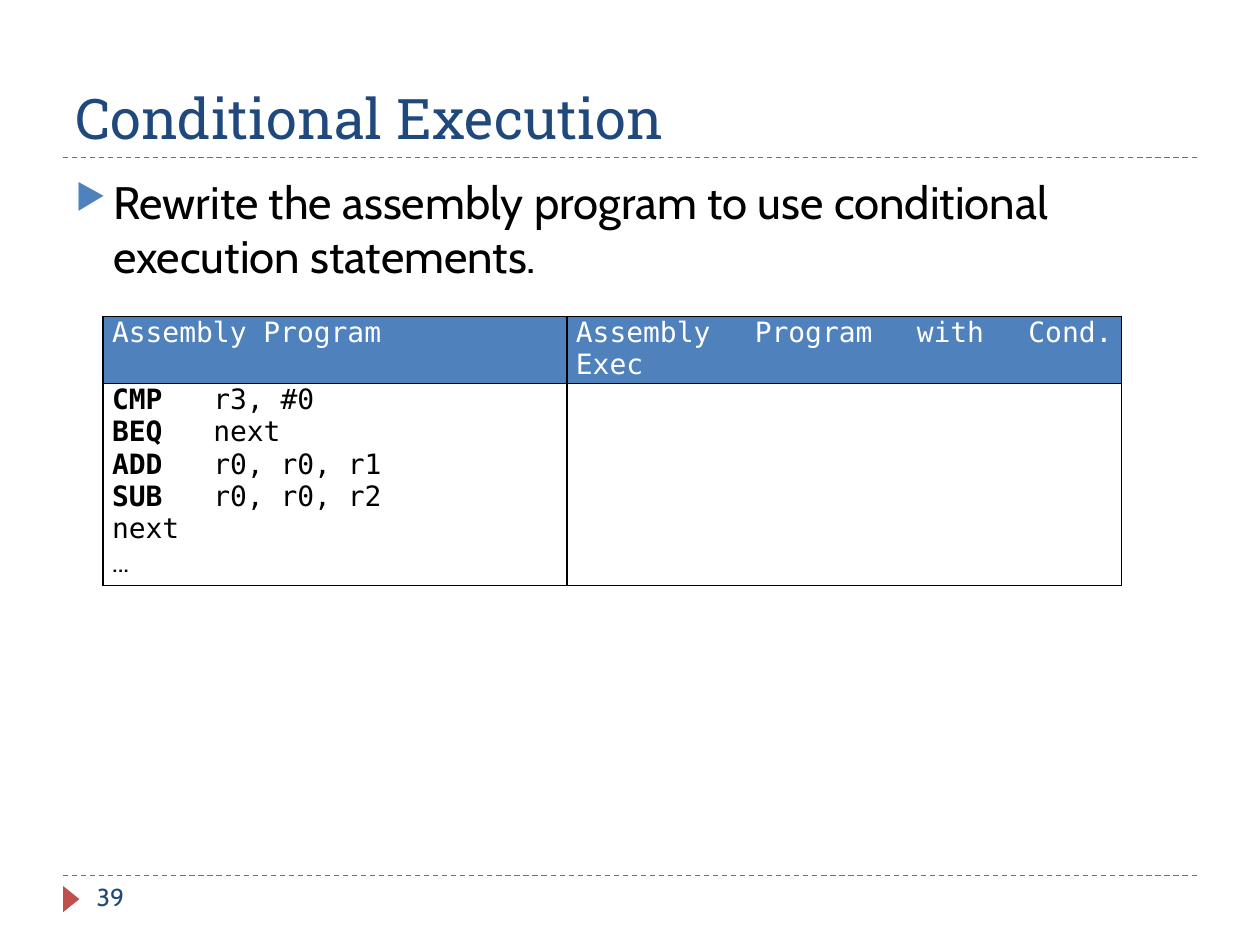
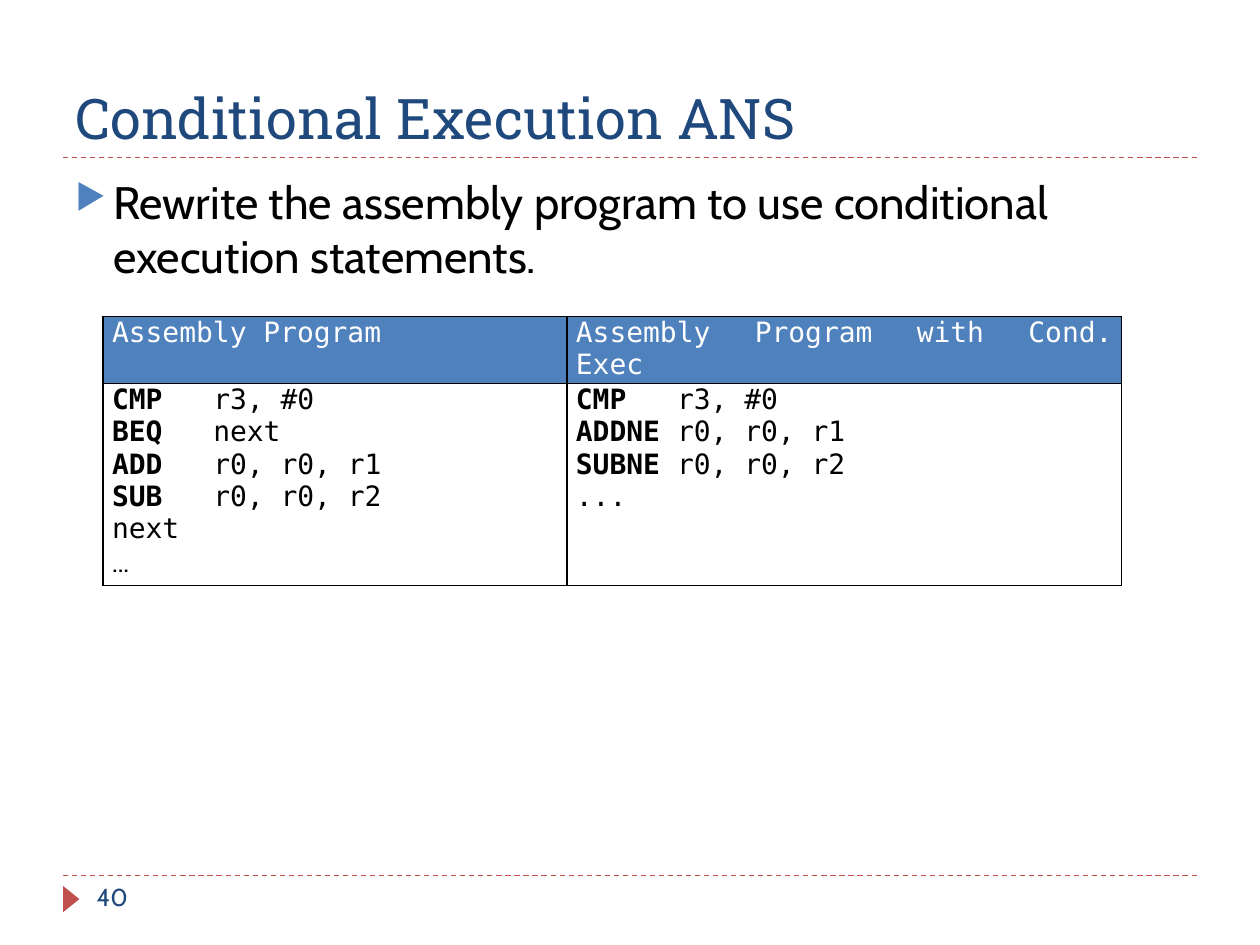
from dataclasses import dataclass

from lxml import etree
from pptx import Presentation
from pptx.dml.color import RGBColor
from pptx.enum.dml import MSO_LINE
from pptx.enum.shapes import MSO_CONNECTOR, MSO_SHAPE
from pptx.enum.text import MSO_ANCHOR, PP_ALIGN
from pptx.oxml.ns import qn
from pptx.util import Cm, Pt

DASH = MSO_LINE.DASH
STRAIGHT = MSO_CONNECTOR.STRAIGHT
TRIANGLE = MSO_SHAPE.ISOSCELES_TRIANGLE
TOP, BOTTOM = MSO_ANCHOR.TOP, MSO_ANCHOR.BOTTOM
LEFT, JUSTIFY = PP_ALIGN.LEFT, PP_ALIGN.JUSTIFY

COLORS = {
    "title": "1F497D",
    "accent": "4F81BD",
    "rule": "C0504D",
    "text": "000000",
    "white": "FFFFFF",
}
MONO = "DejaVu Sans Mono"
STYLES = {
    "title": {"name": "Roboto Slab", "size": Pt(32), "color": "title"},
    "body": {"name": "Cabin", "size": Pt(26), "color": "text"},
    "number": {"name": "Cabin", "size": Pt(14), "color": "title"},
    "header": {"name": MONO, "size": Pt(16), "color": "white", "bold": False},
    "code": {"name": MONO, "size": Pt(16), "color": "text", "bold": False},
    "opcode": {"name": MONO, "size": Pt(16), "color": "text", "bold": True},
    "ellipsis": {"name": "Cabin", "size": Pt(16), "color": "text", "bold": False},
}
MARGIN, CONTENT_WIDTH = 1.27, 22.86
RULE_TOPS = (17.65, 3.18)
OPERAND_TAB = Cm(2.04)
COL_WIDTHS = (9.35, 11.18)
ROW_HEIGHTS = (1.3, 3.95)
HEADERS = ("Assembly Program", "Assembly Program with Cond. Exec")
TASK = "Rewrite the assembly program to use conditional execution statements."


@dataclass(frozen=True)
class Box:
    """Position and size in centimetres."""
    left: float
    top: float
    width: float
    height: float

    def lengths(self) -> tuple:
        return Cm(self.left), Cm(self.top), Cm(self.width), Cm(self.height)


@dataclass(frozen=True)
class CodeLine:
    text: str
    opcode: str = ""
    style: str = "code"


@dataclass(frozen=True)
class ExerciseSlide:
    title: str
    number: int
    answer: tuple = ()


TITLE_BOX = Box(MARGIN, 0.43, CONTENT_WIDTH, 2.74)
BODY_BOX = Box(MARGIN, 3.38, CONTENT_WIDTH, 2.97)
NUMBER_BOX = Box(1.7, 17.65, 5.51, 1.02)
MARKER_BOX = Box(1.17, 17.96, 0.53, 0.33)
TABLE_BOX = Box(2.08, 6.38, sum(COL_WIDTHS), sum(ROW_HEIGHTS))

PROGRAM = (
    CodeLine("r3, #0", "CMP"),
    CodeLine("next", "BEQ"),
    CodeLine("r0, r0, r1", "ADD"),
    CodeLine("r0, r0, r2", "SUB"),
    CodeLine("next"),
    CodeLine("...", style="ellipsis"),
)
ANSWER = (
    CodeLine("r3, #0", "CMP"),
    CodeLine("r0, r0, r1", "ADDNE"),
    CodeLine("r0, r0, r2", "SUBNE"),
    CodeLine("..."),
)
SLIDES = (
    ExerciseSlide("Conditional Execution", 39),
    ExerciseSlide("Conditional Execution ANS", 40, ANSWER),
)


def rgb(key: str) -> RGBColor:
    return RGBColor.from_string(COLORS[key])


def add_run(p, text: str, style: str) -> None:
    r = p.add_run()
    r.text = text
    for attr, value in STYLES[style].items():
        if attr == "color":
            r.font.color.rgb = rgb(value)
        else:
            setattr(r.font, attr, value)


def add_text(s, box: Box, text: str, style: str, anchor=TOP):
    """Add a one-paragraph text box and return its paragraph."""
    tf = s.shapes.add_textbox(*box.lengths()).text_frame
    tf.word_wrap = True
    tf.vertical_anchor = anchor
    p = tf.paragraphs[0]
    add_run(p, text, style)
    return p


def add_bullet(p) -> None:
    p.space_before = Pt(6)
    pPr = p._p.get_or_add_pPr()
    pPr.set("marL", str(Cm(0.76)))
    pPr.set("indent", str(-Cm(0.76)))
    clr = etree.SubElement(pPr, qn("a:buClr"))
    etree.SubElement(clr, qn("a:srgbClr"), val=COLORS["accent"])
    etree.SubElement(pPr, qn("a:buSzPct"), val="76000")
    etree.SubElement(pPr, qn("a:buChar"), char="▶")


def add_rule(s, top: float) -> None:
    y = Cm(top)
    line = s.shapes.add_connector(STRAIGHT, Cm(MARGIN), y, Cm(MARGIN + CONTENT_WIDTH), y)
    line.line.color.rgb = rgb("rule")
    line.line.width = Pt(0.75)
    line.line.dash_style = DASH
    etree.SubElement(line._element.spPr, qn("a:effectLst"))


def add_frame(s, title: str, number: int) -> None:
    """Draw what every slide shares: rules, marker, title and page number."""
    for top in RULE_TOPS:
        add_rule(s, top)
    marker = s.shapes.add_shape(TRIANGLE, *MARKER_BOX.lengths())
    marker.rotation = 90
    marker.shadow.inherit = False
    marker.fill.solid()
    marker.fill.fore_color.rgb = rgb("rule")
    marker.line.fill.background()
    add_text(s, TITLE_BOX, title, "title", BOTTOM)
    add_text(s, NUMBER_BOX, str(number), "number")


def format_cell(cell, fill: str = "") -> None:
    """Set margins, black borders and an optional fill."""
    margins = {"margin_left": 0.18, "margin_right": 0.18, "margin_top": 0, "margin_bottom": 0}
    for attr, value in margins.items():
        setattr(cell, attr, Cm(value))
    tcPr = cell._tc.get_or_add_tcPr()
    for side in ("lnL", "lnR", "lnT", "lnB"):
        ln = etree.SubElement(tcPr, qn(f"a:{side}"), w=str(Pt(1)))
        solid = etree.SubElement(ln, qn("a:solidFill"))
        etree.SubElement(solid, qn("a:srgbClr"), val=COLORS["text"])
    if fill:
        cell.fill.solid()
        cell.fill.fore_color.rgb = rgb(fill)
    else:
        cell.fill.background()


def write_code(cell, lines: tuple) -> None:
    """Write one paragraph per line, with operands on a tab stop."""
    tf = cell.text_frame
    for i, line in enumerate(lines):
        p = tf.add_paragraph() if i else tf.paragraphs[0]
        p.alignment = LEFT
        if line.opcode:
            tabs = etree.SubElement(p._p.get_or_add_pPr(), qn("a:tabLst"))
            etree.SubElement(tabs, qn("a:tab"), pos=str(OPERAND_TAB), algn="l")
            add_run(p, line.opcode, "opcode")
            add_run(p, "\t" + line.text, line.style)
        else:
            add_run(p, line.text, line.style)


def add_program_table(s, answer: tuple) -> None:
    table = s.shapes.add_table(2, 2, *TABLE_BOX.lengths()).table
    table.first_row = table.horz_banding = False
    for row, height in zip(table.rows, ROW_HEIGHTS):
        row.height = Cm(height)
    for col, (width, header, code) in enumerate(zip(COL_WIDTHS, HEADERS, (PROGRAM, answer))):
        table.columns[col].width = Cm(width)
        head, body = table.cell(0, col), table.cell(1, col)
        format_cell(head, "accent")
        format_cell(body)
        p = head.text_frame.paragraphs[0]
        p.alignment = JUSTIFY
        add_run(p, header, "header")
        write_code(body, code)


def main() -> None:
    prs = Presentation()
    prs.slide_width, prs.slide_height = Cm(25.4), Cm(19.05)
    blank = prs.slide_layouts[6]
    for item in SLIDES:
        s = prs.slides.add_slide(blank)
        add_frame(s, item.title, item.number)
        add_bullet(add_text(s, BODY_BOX, TASK, "body"))
        add_program_table(s, item.answer)
    prs.save("out.pptx")


if __name__ == "__main__":
    main()
